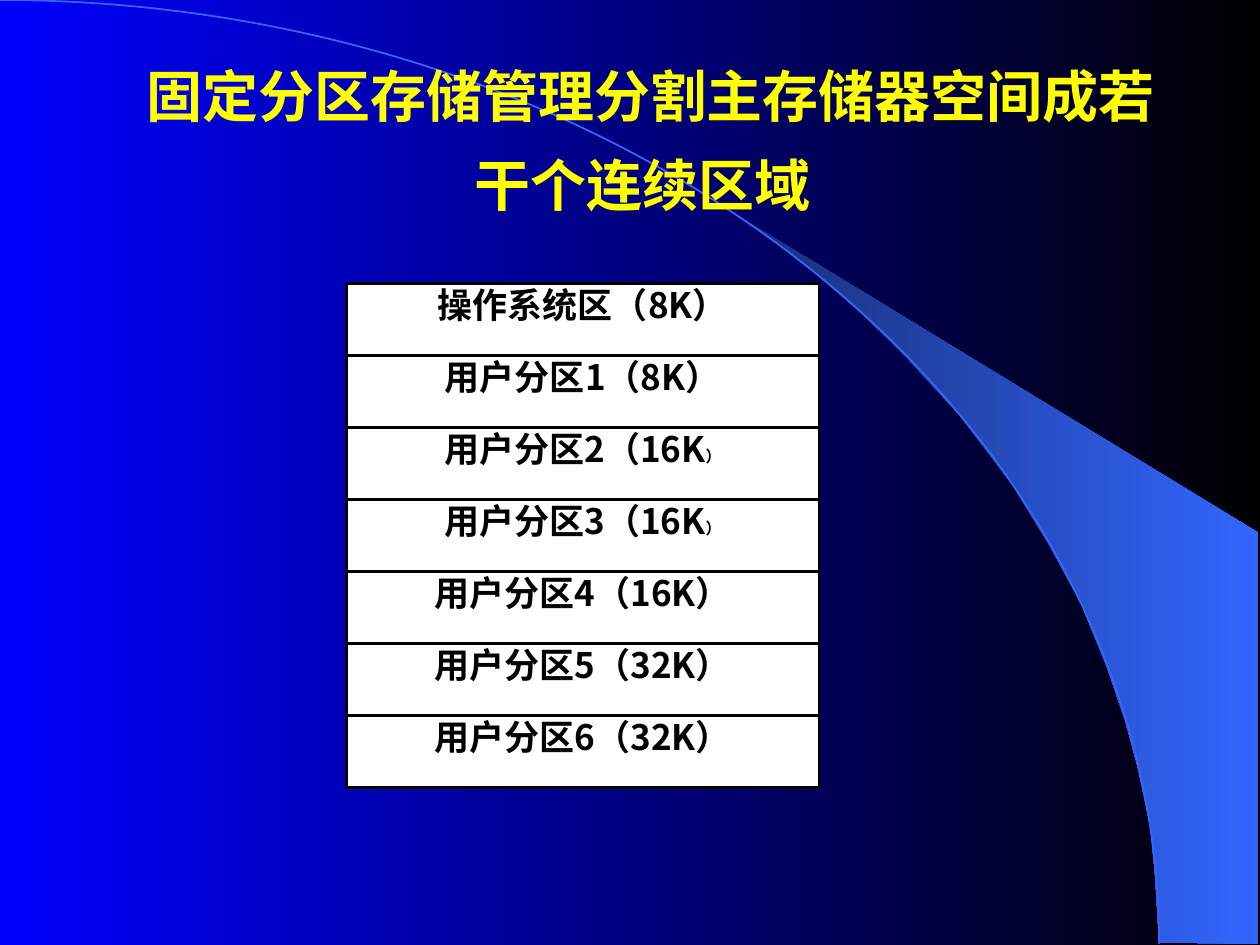
"""Build a slide on fixed-partition memory management."""
import dataclasses
import math

import pptx
import pptx.dml.color
import pptx.enum.shapes
import pptx.enum.text
import pptx.oxml
import pptx.oxml.ns
import pptx.util

Pt = pptx.util.Pt


@dataclasses.dataclass(frozen=True)
class Theme:
    """Hold the colours, fonts and type sizes of the slide."""
    blue: str = "0000FF"
    black: str = "000000"
    white: str = "FFFFFF"
    navy: str = "182F76"
    azure: str = "3366FF"
    yellow: str = "FFFF00"
    title_font: str = "Noto Sans CJK JP"
    label_font: str = "Noto Sans CJK SC"
    title_size: float = 32
    title_end_size: float = 44
    label_size: float = 20
    small_size: float = 9


THEME = Theme()
WIDTH, HEIGHT = 720, 540
ARC_WIDTH, ARC_HEIGHT = 662.4, 539.3
WEDGE = [
    (662.4, 538.6), (719.3, 539.3), (719.3, 304.6), (424.1, 124.6),
    (449.3, 143.3), (470.2, 159.8), (493.2, 180), (515.5, 201.6),
    (548.6, 237.6), (578.2, 276.5), (599, 310.3), (617.8, 344.9),
    (632.2, 380.2), (643, 411.8), (650.2, 438.5), (657.4, 472.3),
    (660.2, 501.1),
]
TITLE = "固定分区存储管理分割主存储器空间成若干个连续区域"
PARTITIONS = [
    ("操作系统区（8K）", ""),
    ("用户分区1（8K）", ""),
    ("用户分区2（16K", "）"),
    ("用户分区3（16K", "）"),
    ("用户分区4（16K）", ""),
    ("用户分区5（32K）", ""),
    ("用户分区6（32K）", ""),
]


def rgb(value):
    """Turn a hex string into a colour."""
    return pptx.dml.color.RGBColor.from_string(value)


def write(paragraph, text, *, font, size, color, bold=True):
    """Add a formatted run with the same Latin and East Asian font."""
    run = paragraph.add_run()
    run.text = text
    run.font.name = font
    run.font.size = Pt(size)
    run.font.bold = bold
    run.font.color.rgb = rgb(color)
    east_asian = pptx.oxml.parse_xml(
        f'<a:ea {pptx.oxml.ns.nsdecls("a")} typeface="{font}"/>')
    run.font._element.append(east_asian)


def fill_gradient(fill, first, last):
    """Fill from left to right with two colours."""
    fill.gradient()
    fill.gradient_angle = 0
    for stop, color, position in zip(fill.gradient_stops, (first, last), (0, 1)):
        stop.color.rgb = rgb(color)
        stop.position = position


def add_outline(slide, points, *, close):
    """Draw straight segments through points given in points."""
    start, *rest = [(Pt(x), Pt(y)) for x, y in points]
    builder = slide.shapes.build_freeform(*start)
    builder.add_line_segments(rest, close=close)
    outline = builder.convert_to_shape()
    outline.shadow.inherit = False
    return outline


def add_decoration(slide):
    """Draw the shaded wedge and the thin quarter ellipse."""
    wedge = add_outline(slide, WEDGE, close=True)
    fill_gradient(wedge.fill, THEME.navy, THEME.azure)
    wedge.line.fill.background()

    angles = [math.radians(degree) for degree in range(91)]
    arc_points = [(ARC_WIDTH * math.sin(angle), ARC_HEIGHT * (1 - math.cos(angle)))
                  for angle in angles]
    arc = add_outline(slide, arc_points, close=False)
    arc.fill.background()
    arc.line.color.rgb = rgb(THEME.azure)
    arc.line.width = Pt(1)


def set_title(slide):
    """Place and write the title."""
    title = slide.shapes.title
    title.left, title.top, title.width, title.height = map(Pt, (66, 36, 612, 90))
    frame = title.text_frame
    frame.word_wrap = True
    frame.auto_size = pptx.enum.text.MSO_AUTO_SIZE.NONE
    frame.vertical_anchor = pptx.enum.text.MSO_ANCHOR.MIDDLE
    heading = frame.paragraphs[0]
    heading.alignment = pptx.enum.text.PP_ALIGN.CENTER
    write(heading, TITLE, font=THEME.title_font, size=THEME.title_size,
          color=THEME.yellow)
    write(heading, " ", font=THEME.title_font, size=THEME.title_end_size,
          color=THEME.yellow, bold=False)


def add_partition(slide, top, height, label, small_end):
    """Draw one memory region with its label."""
    region = slide.shapes.add_shape(
        pptx.enum.shapes.MSO_SHAPE.RECTANGLE, Pt(198), Pt(top), Pt(270), Pt(height))
    region.shadow.inherit = False
    region.fill.solid()
    region.fill.fore_color.rgb = rgb(THEME.white)
    region.line.color.rgb = rgb(THEME.black)
    region.line.width = Pt(1.5)
    frame = region.text_frame
    frame.word_wrap = True
    frame.vertical_anchor = pptx.enum.text.MSO_ANCHOR.TOP
    frame.margin_left = frame.margin_right = Pt(0)
    frame.margin_top = frame.margin_bottom = Pt(0)
    line = frame.paragraphs[0]
    line.alignment = pptx.enum.text.PP_ALIGN.CENTER
    for text, size in ((label, THEME.label_size), (small_end, THEME.small_size)):
        if text:
            write(line, text, font=THEME.label_font, size=size, color=THEME.black)


def main():
    """Build and save the slide."""
    deck = pptx.Presentation()
    deck.slide_width, deck.slide_height = Pt(WIDTH), Pt(HEIGHT)
    slide = deck.slides.add_slide(deck.slide_layouts.get_by_name("Title Only"))
    fill_gradient(slide.background.fill, THEME.blue, THEME.black)
    add_decoration(slide)
    set_title(slide)
    slide.shapes._spTree.append(slide.shapes.title._element)
    memory_top, memory_height = 162, 288
    row_height = memory_height / len(PARTITIONS)
    for row, (label, small_end) in enumerate(PARTITIONS):
        add_partition(slide, memory_top + row * row_height, row_height,
                      label, small_end)
    deck.save("out.pptx")


if __name__ == "__main__":
    main()
